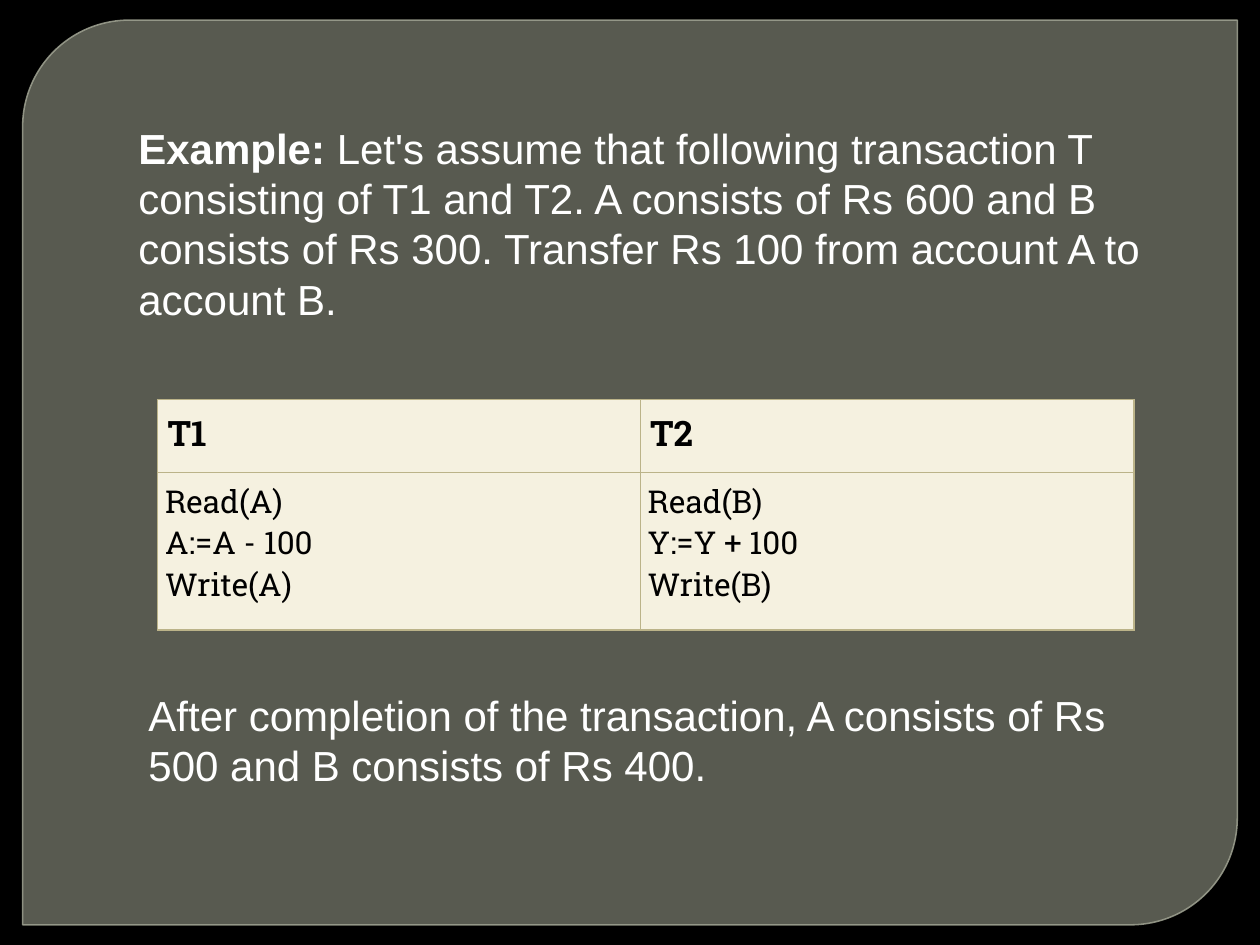
import pptx
import pptx.dml.color
import pptx.enum.shapes
import pptx.enum.text
import pptx.oxml
import pptx.oxml.ns
import pptx.util
from pptx.util import Inches

INTRO = [
    ("Example:", True),
    (" Let's assume that following transaction T consisting of T1 and T2. "
     "A consists of Rs 600 and B consists of Rs 300. "
     "Transfer Rs 100 from account A to account B.", False),
]
RESULT = [("After completion of the transaction, A consists of Rs 500 "
           "and B consists of Rs 400.", False)]
HEADERS = ["T1", "T2"]
STEPS = [
    [["Read(A)", "A:=A - 100"], ["Write(A)"]],
    [["Read(B)", "Y:=Y + 100"], ["Write(B)"]],
]
COLUMN_WIDTHS = [3.83, 3.92]
ROW_HEIGHTS = [0.58, 1.25]
WHITE, BLACK = "FFFFFF", "000000"
PANEL, PANEL_EDGE = "888B7B", "9DA090"
CELL, BORDER = "F5F1E0", "BBB389"


def color(value):
    return pptx.dml.color.RGBColor.from_string(value)


def set_opacity(fill_element, percent):
    choice = fill_element.find(".//" + pptx.oxml.ns.qn("a:srgbClr"))
    choice.append(pptx.oxml.parse_xml(
        f'<a:alpha {pptx.oxml.ns.nsdecls("a")} val="{percent * 1000}"/>'))


def add_span(para, text, font, size, ink, bold=False):
    span = para.add_run()
    span.text = text
    span.font.name = font
    span.font.size = pptx.util.Pt(size)
    span.font.bold = bold
    span.font.color.rgb = color(ink)


def add_panel(slide):
    panel = slide.shapes.add_shape(
        pptx.enum.shapes.MSO_SHAPE.ROUND_2_DIAG_RECTANGLE,
        Inches(0.18), Inches(0.16), Inches(9.64), Inches(7.18))
    panel.adjustments[0] = 0.118
    panel.adjustments[1] = 0
    panel.shadow.inherit = False
    panel.fill.solid()
    panel.fill.fore_color.rgb = color(PANEL)
    panel.line.color.rgb = color(PANEL_EDGE)
    panel.line.width = pptx.util.Pt(0.87)
    properties = panel.element.spPr
    set_opacity(properties.find(pptx.oxml.ns.qn("a:solidFill")), 65)
    set_opacity(properties.find(pptx.oxml.ns.qn("a:ln")), 88)


def add_text(slide, spans, left, top, width, height):
    box = slide.shapes.add_textbox(
        Inches(left), Inches(top), Inches(width), Inches(height))
    box.text_frame.word_wrap = True
    for text, bold in spans:
        add_span(box.text_frame.paragraphs[0], text, "Arial", 24, WHITE, bold)


def style_cell(cell, inset):
    cell.margin_left = cell.margin_right = Inches(inset)
    cell.margin_top = cell.margin_bottom = Inches(inset)
    cell.fill.solid()
    cell.fill.fore_color.rgb = color(CELL)
    properties = cell._tc.get_or_add_tcPr()
    for index, side in enumerate(["lnL", "lnR", "lnT", "lnB"]):
        properties.insert(index, pptx.oxml.parse_xml(
            f'<a:{side} {pptx.oxml.ns.nsdecls("a")} w="{pptx.util.Pt(0.75)}">'
            f'<a:solidFill><a:srgbClr val="{BORDER}"/></a:solidFill></a:{side}>'))


def fill_cell(cell, paragraphs, size, bold, align):
    for index, lines in enumerate(paragraphs):
        frame = cell.text_frame
        para = frame.add_paragraph() if index else frame.paragraphs[0]
        para.alignment = align
        for number, line in enumerate(lines):
            if number:
                para.add_line_break()
            add_span(para, line, "Roboto Slab", size, BLACK, bold)


def add_transactions(slide):
    table = slide.shapes.add_table(
        len(ROW_HEIGHTS), len(COLUMN_WIDTHS), Inches(1.25), Inches(3.17),
        Inches(sum(COLUMN_WIDTHS)), Inches(sum(ROW_HEIGHTS))).table
    for row, height in zip(table.rows, ROW_HEIGHTS):
        row.height = Inches(height)
    for index, width in enumerate(COLUMN_WIDTHS):
        table.columns[index].width = Inches(width)
        header, body = table.cell(0, index), table.cell(1, index)
        style_cell(header, 0.08)
        style_cell(body, 0.06)
        fill_cell(header, [[HEADERS[index]]], 20, True,
                  pptx.enum.text.PP_ALIGN.LEFT)
        fill_cell(body, STEPS[index], 18, False,
                  pptx.enum.text.PP_ALIGN.JUSTIFY)


def main():
    """Build the transaction example slide."""
    deck = pptx.Presentation()
    deck.slide_width, deck.slide_height = Inches(10), Inches(7.5)
    slide = deck.slides.add_slide(deck.slide_layouts[6])
    slide.background.fill.solid()
    slide.background.fill.fore_color.rgb = color(BLACK)
    add_panel(slide)
    add_text(slide, INTRO, 1, 0.92, 8.17, 2.12)
    add_transactions(slide)
    add_text(slide, RESULT, 1.08, 5.42, 7.92, 0.91)
    deck.save("out.pptx")


if __name__ == "__main__":
    main()
